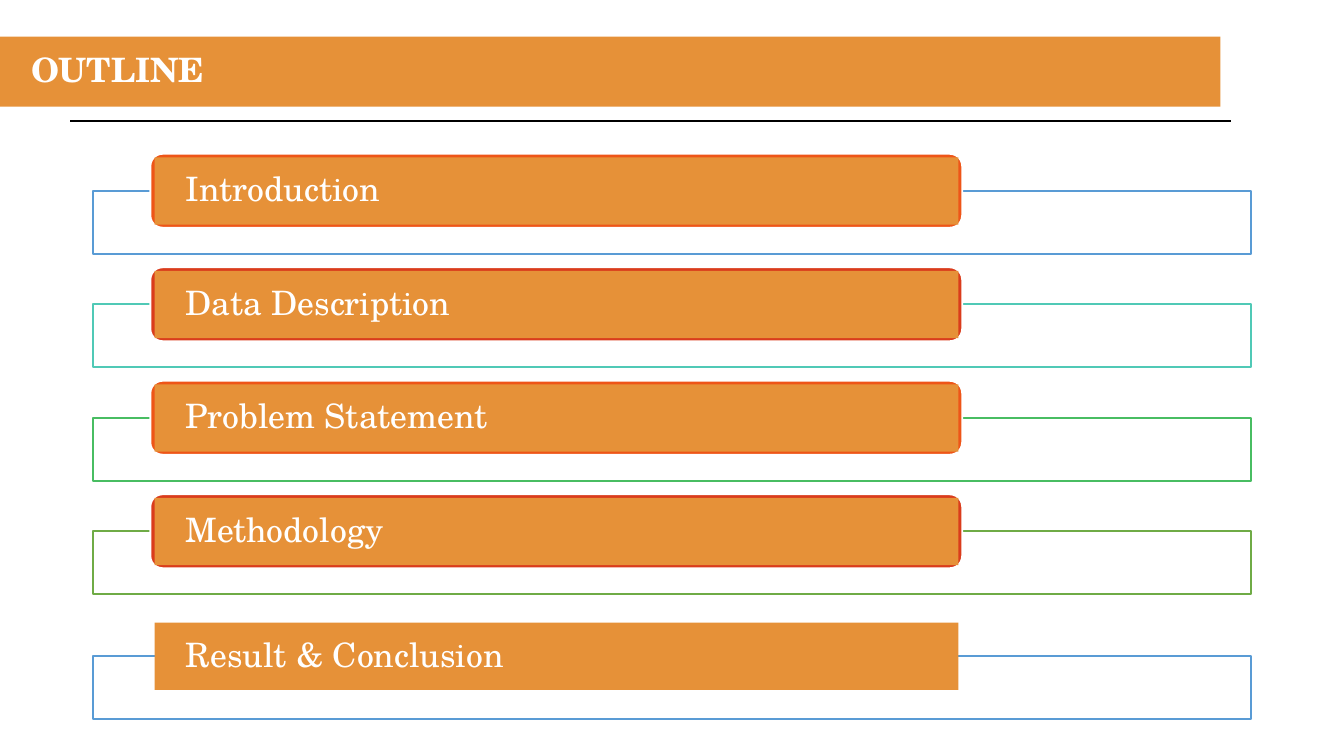
from dataclasses import dataclass
from typing import Optional

from lxml.etree import SubElement
from pptx import Presentation
from pptx.dml.color import RGBColor
from pptx.enum.shapes import MSO_CONNECTOR, MSO_SHAPE as Shape
from pptx.enum.text import MSO_ANCHOR, MSO_AUTO_SIZE, PP_ALIGN
from pptx.oxml.ns import qn
from pptx.util import Pt

FONT = "TeX Gyre Schola"
WHITE = RGBColor(0xFF, 0xFF, 0xFF)
BLACK = RGBColor(0x00, 0x00, 0x00)
ORANGE = RGBColor(0xE6, 0x91, 0x38)
VERMILION = RGBColor(0xEE, 0x55, 0x18)
RED = RGBColor(0xDA, 0x3C, 0x1C)
BLUE = RGBColor(0x59, 0x9B, 0xD5)
TEAL = RGBColor(0x50, 0xC9, 0xB6)
GREEN = RGBColor(0x48, 0xBD, 0x62)
OLIVE = RGBColor(0x6F, 0xAB, 0x46)

FIRST_TOP, ROW_PITCH, LAST_TOP = 102.2, 60.8, 351.4
RIM_RISE, LABEL_RISE = 19.8, 17.8  # how far each sits above its frame's top


@dataclass
class Topic:
    name: str
    frame_color: RGBColor
    rim_color: Optional[RGBColor] = None


TOPICS = [
    Topic("Introduction", BLUE, VERMILION),
    Topic("Data Description", TEAL, RED),
    Topic("Problem Statement", GREEN, VERMILION),
    Topic("Methodology", OLIVE, RED),
]
CLOSING_TOPIC = Topic("Result & Conclusion", BLUE)


def add_box(shapes, kind: Shape, left: float, top: float, width: float,
            height: float, fill: RGBColor, line: Optional[RGBColor] = None):
    box = shapes.add_shape(kind, Pt(left), Pt(top), Pt(width), Pt(height))
    box.shadow.inherit = False
    box.fill.solid()
    box.fill.fore_color.rgb = fill
    if line is None:
        box.line.fill.background()
    else:
        box.line.color.rgb = line
        box.line.width = Pt(1)
    return box


def write_label(shape, text: str, bold: bool = False) -> None:
    frame = shape.text_frame
    frame.text = text
    frame.word_wrap = True
    frame.auto_size = MSO_AUTO_SIZE.NONE
    frame.vertical_anchor = MSO_ANCHOR.MIDDLE
    frame.margin_left = frame.margin_right = Pt(16.6)
    frame.margin_top = frame.margin_bottom = 0
    paragraph = frame.paragraphs[0]
    paragraph.alignment = PP_ALIGN.LEFT
    paragraph.line_spacing = 0.9
    font = paragraph.runs[0].font
    font.name, font.size, font.bold = FONT, Pt(18), bold
    font.color.rgb = WHITE


def add_topic(shapes, topic: Topic, top: float) -> None:
    frame = add_box(shapes, Shape.RECTANGLE, 49.7, top, 620.6, 33.8,
                    WHITE, topic.frame_color)
    fill_color = frame.fill._xPr.find(qn("a:solidFill"))[0]
    SubElement(fill_color, qn("a:alpha"), val="90000")
    if topic.rim_color is not None:
        add_box(shapes, Shape.ROUNDED_RECTANGLE, 80.6, top - RIM_RISE,
                434.9, 39.6, topic.rim_color, WHITE)
    label = add_box(shapes, Shape.RECTANGLE, 82.8, top - LABEL_RISE,
                    430.6, 36, ORANGE)
    write_label(label, topic.name)


def main() -> None:
    deck = Presentation()
    deck.slide_width, deck.slide_height = Pt(720), Pt(405)
    slide = deck.slides.add_slide(deck.slide_layouts[5])

    # Title band
    title = slide.shapes.title
    title.left, title.top = Pt(0), Pt(19.6)
    title.width, title.height = Pt(653.8), Pt(37.6)
    title.fill.solid()
    title.fill.fore_color.rgb = ORANGE
    write_label(title, "OUTLINE", bold=True)

    # Main topics
    main_topics = slide.shapes.add_group_shape()
    for row, topic in enumerate(TOPICS):
        add_topic(main_topics.shapes, topic, FIRST_TOP + row * ROW_PITCH)

    # Rule under the title
    rule = slide.shapes.add_connector(MSO_CONNECTOR.STRAIGHT, Pt(37.6), Pt(64.8),
                                      Pt(659.6), Pt(64.8))
    rule.line.color.rgb = BLACK
    rule.line.width = Pt(0.75)
    SubElement(rule._element.spPr, qn("a:effectLst"))

    # Closing topic
    closing = slide.shapes.add_group_shape()
    add_topic(closing.shapes, CLOSING_TOPIC, LAST_TOP)

    deck.save("out.pptx")


if __name__ == "__main__":
    main()
